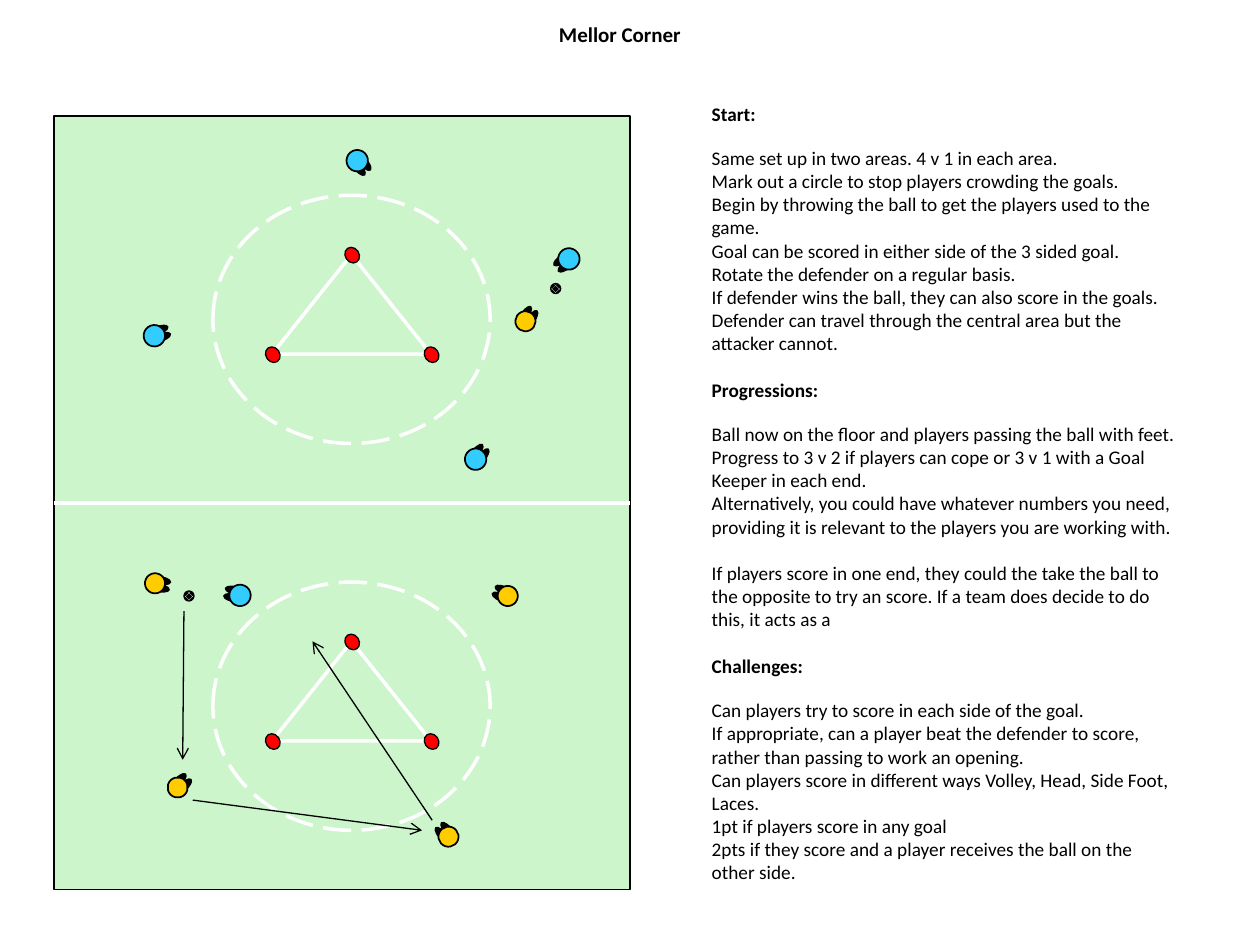
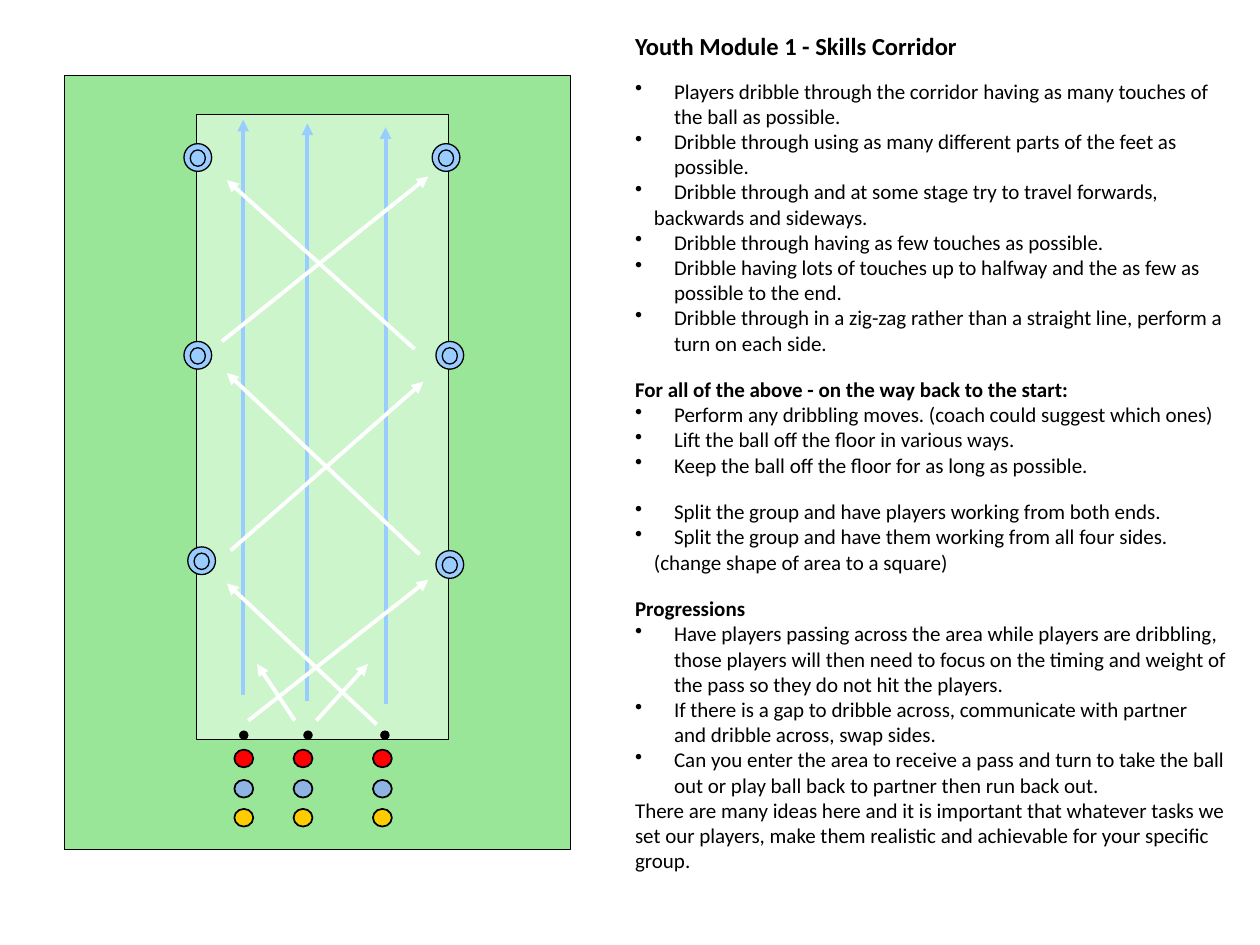
from copy import deepcopy
from dataclasses import dataclass
from math import cos, radians, sin

from lxml import etree
from pptx import Presentation
from pptx.dml.color import RGBColor
from pptx.enum.dml import MSO_LINE, MSO_PATTERN
from pptx.enum.shapes import MSO_CONNECTOR, MSO_SHAPE
from pptx.enum.text import PP_ALIGN
from pptx.oxml.ns import qn
from pptx.util import Pt

PX = 9144  # 100 px to the inch
RECT, OVAL, TRIANGLE = MSO_SHAPE.RECTANGLE, MSO_SHAPE.OVAL, MSO_SHAPE.ISOSCELES_TRIANGLE
LONG_DASH = MSO_LINE.LONG_DASH
DIAMONDS = MSO_PATTERN.SOLID_DIAMOND
STRAIGHT = MSO_CONNECTOR.STRAIGHT
LEFT, CENTER = PP_ALIGN.LEFT, PP_ALIGN.CENTER


@dataclass(frozen=True)
class Theme:
    font: str = "Calibri"
    black: str = "000000"
    white: str = "FFFFFF"
    grass: str = "99E699"
    light_grass: str = "CCF5CC"
    blue_team: str = "33CCFF"
    yellow: str = "FFCC00"
    red: str = "FF0000"
    steel: str = "8EB4E3"
    sky: str = "99CCFF"
    heading: float = 14
    text: float = 12
    small: float = 11
    thin: float = 0.75
    medium: float = 1
    marking: float = 2
    thick: float = 2.25


theme = Theme()


def draw(slide, kind, box, fill=None, line=theme.black, width=theme.thin, turn=0):
    """Add a preset shape; without a fill only its outline shows."""
    shape = slide.shapes.add_shape(kind, *(round(v * PX) for v in box))
    shape.shadow.inherit = False
    shape.rotation = turn
    if fill:
        shape.fill.solid()
        shape.fill.fore_color.rgb = RGBColor.from_string(fill)
    else:
        shape.fill.background()
    shape.line.color.rgb = RGBColor.from_string(line)
    shape.line.width = Pt(width)
    return shape


def write(frame, text, *, size=theme.text, bold=False, align=LEFT, gap=0,
          indent=0, bullet=False):
    """Add a paragraph; gap is the space before it in points."""
    paragraph = frame.paragraphs[-1]
    if paragraph.runs:
        paragraph = frame.add_paragraph()
    paragraph.text = text
    paragraph.alignment = align
    paragraph.space_before = Pt(gap)
    properties = paragraph._p.get_or_add_pPr()
    properties.set("marL", str(indent * PX))
    properties.set("indent", str(-indent * PX if bullet else 0))
    if bullet:
        etree.SubElement(properties, qn("a:buChar")).set("char", "•")
    for run in paragraph.runs:
        run.font.name = theme.font
        run.font.size = Pt(size)
        run.font.bold = bold
        run.font.color.rgb = RGBColor.from_string(theme.black)
    for line_break in paragraph._p.findall(qn("a:br")):
        line_break.append(deepcopy(paragraph.runs[0]._r.rPr))


deck = Presentation()
deck.slide_width, deck.slide_height = 1000 * PX, 750 * PX
corner, skills = (deck.slides.add_slide(deck.slide_layouts[6]) for _ in range(2))

# Corner game: one pitch with the same goal and circle in both halves
HALF = 307
draw(corner, RECT, (43, 92, 457, 614), theme.light_grass)
for half_top in (0, HALF):
    draw(corner, TRIANGLE, (216, 202 + half_top, 126, 79),
         line=theme.white, width=theme.marking)
    circle = draw(corner, OVAL, (169, 155 + half_top, 220, 197),
                  line=theme.white, width=theme.marking)
    circle.line.dash_style = LONG_DASH
    for cone_left, cone_top in ((274, 196), (211, 275), (337, 275)):
        draw(corner, OVAL, (cone_left, cone_top + half_top, 11, 13), theme.red, turn=146)

# Each player: left and top of the head, direction faced
teams = (
    (theme.blue_team, 17, ((443, 197, 234), (182, 464, 282), (275, 119, 139),
                           (114, 258, 70), (369, 356, 38))),
    (theme.yellow, 16, ((395, 465, 293), (115, 455, 100), (409, 247, 34),
                        (348, 656, 319), (133, 617, 45))),
)
for shirt, head, players in teams:
    for left, top, facing in players:
        angle = radians(facing)
        for side in (-3, 3):
            ahead = -4
            foot_x = left + head / 2 + side * cos(angle) - ahead * sin(angle)
            foot_y = top + head / 2 + side * sin(angle) + ahead * cos(angle)
            draw(corner, OVAL, (foot_x - 3, foot_y - head / 2, 6, head),
                 theme.black, turn=facing)
        draw(corner, OVAL, (left, top, head, head), shirt,
             width=theme.medium, turn=facing)

for ball_left, ball_top in ((437, 225), (146, 469)):
    ball = draw(corner, OVAL, (ball_left, ball_top, 8, 8))
    ball.fill.patterned()
    ball.fill.pattern = DIAMONDS
    ball.fill.fore_color.rgb = RGBColor.from_string(theme.white)
    ball.fill.back_color.rgb = RGBColor.from_string(theme.black)

# Skills corridor: waiting queues, side stations and balls
draw(skills, RECT, (51, 60, 402, 614), theme.grass)
for queue_left in (186, 233, 296):
    for bib_top, bib in ((595, theme.red), (619, theme.steel), (642, theme.yellow)):
        draw(skills, OVAL, (queue_left, bib_top, 15, 14), bib, width=theme.medium)
draw(skills, RECT, (156, 91, 200, 496), theme.light_grass)
for left, top in ((146, 114), (343, 114), (146, 271), (346, 271), (346, 437), (149, 434)):
    draw(skills, OVAL, (left, top, 22, 22), theme.sky)
    draw(skills, OVAL, (left + 5, top + 5, 12, 13), theme.sky)
for ball_left in (190, 241, 302):
    draw(skills, OVAL, (ball_left, 580, 7, 7), theme.black, width=0.25)

# Lines and arrows: slide, colour, width, arrowhead, routes
routes = (
    (corner, theme.white, theme.thick, None, ((43, 399, 500, 399),)),
    (corner, theme.black, theme.thin, "arrow", (
        (146, 485, 145, 603), (153, 635, 335, 659), (343, 651, 248, 509))),
    (skills, theme.sky, theme.thick, "triangle", (
        (193, 552, 193, 95), (244, 556, 244, 98), (306, 559, 306, 101))),
    (skills, theme.white, theme.thick, "triangle", (
        (299, 575, 180, 463), (183, 437, 336, 303), (329, 277, 180, 143),
        (197, 572, 340, 460), (333, 440, 180, 296), (176, 271, 340, 140),
        (234, 572, 204, 527), (251, 572, 292, 527))),
)
for slide, color, width, arrowhead, ends in routes:
    for end_points in ends:
        route = slide.shapes.add_connector(STRAIGHT, *(v * PX for v in end_points))
        route.line.color.rgb = RGBColor.from_string(color)
        route.line.width = Pt(width)
        if arrowhead:
            tail = etree.SubElement(route.line._get_or_add_ln(), qn("a:tailEnd"))
            tail.set("type", arrowhead)
        etree.SubElement(route._element.spPr, qn("a:effectLst"))

# Text: paragraph formats, then the boxes
small = dict(size=theme.small)
small_heading = dict(size=theme.small, bold=True)
next_heading = dict(small_heading, gap=13.4)
after_heading = dict(small, gap=12.2)
point = dict(bullet=True, indent=31)
spaced_point = dict(point, gap=12.2)
continued = dict(indent=15)
section = dict(bold=True, gap=12.2)

game_rules = (
    ("Start:", small_heading),
    ("Same set up in two areas. 4 v 1 in each area.", after_heading),
    ("Mark out a circle to stop players crowding the goals.", small),
    ("Begin by throwing the ball to get the players used to the game.", small),
    ("Goal can be scored in either side of the 3 sided goal.", small),
    ("Rotate the defender on a regular basis.", small),
    ("If defender wins the ball, they can also score in the goals.", small),
    ("Defender can travel through the central area but the attacker cannot.", small),
    ("Progressions:", next_heading),
    ("Ball now on the floor and players passing the ball with feet.", after_heading),
    ("Progress to 3 v 2 if players can cope or 3 v 1 with a Goal Keeper in each end.", small),
    ("Alternatively, you could have whatever numbers you need, providing it is "
     "relevant to the players you are working with.", small),
    ("If players score in one end, they could the take the ball to the opposite to "
     "try an score. If a team does decide to do this, it acts as a", dict(small, gap=13.4)),
    ("Challenges:", next_heading),
    ("Can players try to score in each side of the goal.", after_heading),
    ("If appropriate, can a player beat the defender to score, rather than passing "
     "to work an opening.", small),
    ("Can players score in different ways Volley, Head, Side Foot, Laces.", small),
    ("1pt if players score in any goal", small),
    ("2pts if they score and a player receives the ball on the other side.", small),
)
corridor_tasks = (
    ("Youth Module 1 - Skills Corridor", dict(size=theme.heading, bold=True)),
    ("Players dribble through the corridor having as many touches of the ball as "
     "possible.", dict(point, gap=9.8)),
    ("Dribble through using as many different parts of the feet as possible.", point),
    ("Dribble through and at some stage try to travel forwards,", point),
    ("backwards and sideways.", continued),
    ("Dribble through having as few touches as possible.", point),
    ("Dribble having lots of touches up to halfway and the as few as possible to "
     "the end.", point),
    ("Dribble through in a zig-zag rather than a straight line, perform a turn on "
     "each side.", point),
    ("For all of the above - on the way back to the start:", section),
    ("Perform any dribbling moves. (coach could suggest which ones)", point),
    ("Lift the ball off the floor in various ways.", point),
    ("Keep the ball off the floor for as long as possible.", point),
    ("Split the group and have players working from both ends.", spaced_point),
    ("Split the group and have them working from all four sides.", point),
    ("(change shape of area to a square)", continued),
    ("Progressions", section),
    ("Have players passing across the area while players are dribbling, those "
     "players will then need to focus on the timing and weight of the pass so they "
     "do not hit the players.", point),
    ("If there is a gap to dribble across, communicate with partner\v"
     "and dribble across, swap sides.", point),
    ("Can you enter the area to receive a pass and turn to take the ball out or play "
     "ball back to partner then run back out.", point),
    ("There are many ideas here and it is important that whatever tasks we set our "
     "players, make them realistic and achievable for your specific group.", {}),
)
corner_title = (("Mellor Corner", dict(bold=True, align=CENTER)),)

# Slide, box, side margin, top margin, paragraphs
text_boxes = (
    (corner, (303, 13, 378, 39), 4, 4, corner_title),
    (corner, (555, 76, 391, 650), 10, 5, game_rules),
    (skills, (500, 21, 478, 680), 4, 4, corridor_tasks),
)
for slide, box, side_margin, top_margin, paragraphs in text_boxes:
    frame = slide.shapes.add_textbox(*(v * PX for v in box)).text_frame
    frame.word_wrap = True
    frame.margin_left = frame.margin_right = side_margin * PX
    frame.margin_top = frame.margin_bottom = top_margin * PX
    for text, text_format in paragraphs:
        write(frame, text, **text_format)

deck.save("out.pptx")
